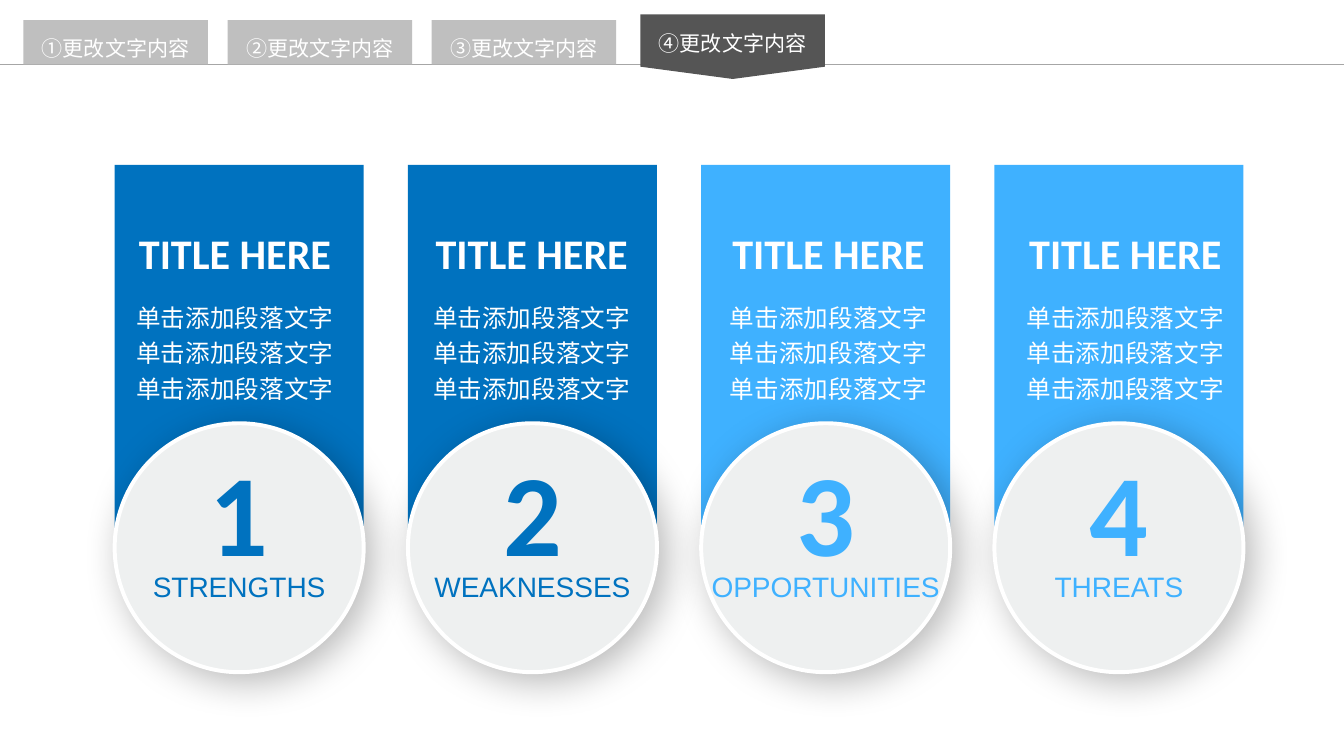
import pptx
import pptx.util
import pptx.dml.color
import pptx.enum.shapes
import pptx.enum.text
import pptx.oxml
import pptx.oxml.ns
from dataclasses import dataclass
from typing import NamedTuple


@dataclass(frozen=True)
class Theme:
    dark: str = "0072BF"
    light: str = "3FB1FF"
    white: str = "FFFFFF"
    disc: str = "EEF0F0"
    tab: str = "BFBFBF"
    active: str = "555555"
    rule: str = "A6A6A6"
    latin: str = "Calibri"
    label: str = "Arial"
    cjk: str = "Noto Sans CJK SC"
    tab_size: int = 12
    body_size: int = 14
    label_size: int = 20
    title_size: int = 24
    digit_size: int = 66


class Box(NamedTuple):
    """A box measured in square grid cells, 100 to the slide's width."""
    x: float
    y: float
    w: float
    h: float


THEME = Theme()
WIDTH, HEIGHT = 10.63, 5.91
CELL = WIDTH / 100
CARDS = [
    ("strengths", THEME.dark),
    ("weaknesses", THEME.dark),
    ("opportunities", THEME.light),
    ("threats", THEME.light),
]
TABS = ["①更改文字内容", "②更改文字内容", "③更改文字内容", "④更改文字内容"]
TITLE = "TITLE HERE"
BODY = "单击添加段落文字" * 3
SHADOW = (
    '<a:effectLst %s><a:outerShdw blurRad="279400" dist="76200" dir="2700000" '
    'algn="tl" rotWithShape="0"><a:srgbClr val="000000"><a:alpha val="28000"/>'
    '</a:srgbClr></a:outerShdw></a:effectLst>'
)


def cells(*counts):
    return [pptx.util.Inches(count * CELL) for count in counts]


def color(code):
    return pptx.dml.color.RGBColor.from_string(code)


def effect(shape, xml):
    space = pptx.oxml.ns.nsdecls("a")
    shape.element.spPr.append(pptx.oxml.parse_xml(xml % space))


def flag(slide, box, tip, fill):
    """Add a banner whose point, if any, faces down."""
    left = box.x + (box.w - box.h) / 2
    top = box.y + (box.h - box.w) / 2
    kind = pptx.enum.shapes.MSO_SHAPE.PENTAGON
    shape = slide.shapes.add_shape(kind, *cells(left, top, box.h, box.w))
    shape.rotation = 90
    shape.adjustments[0] = tip
    shape.shadow.inherit = False
    shape.fill.solid()
    shape.fill.fore_color.rgb = color(fill)
    shape.line.fill.background()


def write(slide, box, text, face, size, ink, bold=None, center=True,
          wrap=True, lines=None, inset=True, small=False):
    shape = slide.shapes.add_textbox(*cells(*box))
    frame = shape.text_frame
    frame.word_wrap = wrap
    if inset:
        frame.auto_size = pptx.enum.text.MSO_AUTO_SIZE.SHAPE_TO_FIT_TEXT
    else:
        frame.margin_left = frame.margin_right = 0
        frame.margin_top = frame.margin_bottom = 0
    frame.text = text
    para = frame.paragraphs[0]
    if center:
        para.alignment = pptx.enum.text.PP_ALIGN.CENTER
    if lines:
        para.line_spacing = lines
    run = para.runs[0]
    font = run.font
    font.name, font.size, font.bold = face, pptx.util.Pt(size), bold
    font.color.rgb = color(ink)
    props = run._r.get_or_add_rPr()
    if small:
        props.set("cap", "small")
    space = pptx.oxml.ns.nsdecls("a")
    props.append(pptx.oxml.parse_xml(f'<a:ea {space} typeface="{face}"/>'))


def draw_disc(slide, box, digit, label, ink):
    kind = pptx.enum.shapes.MSO_SHAPE.OVAL
    disc = slide.shapes.add_shape(kind, *cells(*box))
    disc.fill.solid()
    disc.fill.fore_color.rgb = color(THEME.disc)
    disc.line.color.rgb = color(THEME.white)
    disc.line.width = pptx.util.Pt(2.25)
    effect(disc, SHADOW)
    write(slide, Box(box.x, box.y + 0.86, box.w, 11.38), str(digit),
          THEME.latin, THEME.digit_size, ink, bold=True, wrap=False)
    write(slide, Box(box.x - 0.3, box.y + 9.88, box.w + 0.6, 4.14), label,
          THEME.label, THEME.label_size, ink, wrap=False, small=True)


def draw_card(slide, box, index, label, fill):
    flag(slide, box, 0.32, fill)
    drift = 0.26 * index
    write(slide, Box(box.x + 0.69 + drift, box.y + 9.36, 17.59, 8.94), BODY,
          THEME.cjk, THEME.body_size, THEME.white, center=False, lines=1.2)
    write(slide, Box(box.x + 0.88 + drift, box.y + 4.18, 18.72, 4.7), TITLE,
          THEME.latin, THEME.title_size, THEME.white, bold=True, center=False)
    disc = Box(box.x, box.y + 19.22, box.w, box.w)
    draw_disc(slide, disc, index + 1, label, fill)


def draw_tab(slide, box, text, drop, tip, fill):
    flag(slide, box, tip, fill)
    write(slide, Box(box.x - 3.76, box.y + drop, box.w + 7.52, 2.54), text,
          THEME.cjk, THEME.tab_size, THEME.white, lines=1.2, inset=False)


def draw_nav(slide, box):
    """Draw the tab bar along the bottom edge of its box."""
    base = box.y + box.h
    kind = pptx.enum.shapes.MSO_CONNECTOR.STRAIGHT
    ends = cells(box.x, base, box.x + box.w, base)
    rule = slide.shapes.add_connector(kind, *ends)
    rule.line.color.rgb = color(THEME.rule)
    rule.line.width = pptx.util.Pt(0.75)
    effect(rule, "<a:effectLst %s/>")
    for index, text in enumerate(TABS):
        left = box.x + 1.74 + 15.19 * index
        if index < len(TABS) - 1:
            tab = Box(left, base - 3.3, 13.73, 3.3)
            draw_tab(slide, tab, text, 0.8, 0, THEME.tab)
        else:
            tab = Box(left + 0.34, base - 3.72, 13.73, 4.8)
            draw_tab(slide, tab, text, 0.8, 0.19, THEME.active)


def main():
    deck = pptx.Presentation()
    deck.slide_width = pptx.util.Inches(WIDTH)
    deck.slide_height = pptx.util.Inches(HEIGHT)
    slide = deck.slides.add_slide(deck.slide_layouts[6])
    for index, (label, fill) in enumerate(CARDS):
        card = Box(8.53 + 21.82 * index, 12.28, 18.53, 34.05)
        draw_card(slide, card, index, label, fill)
    draw_nav(slide, Box(0, 0, 100, 4.8))
    deck.save("out.pptx")


if __name__ == "__main__":
    main()
